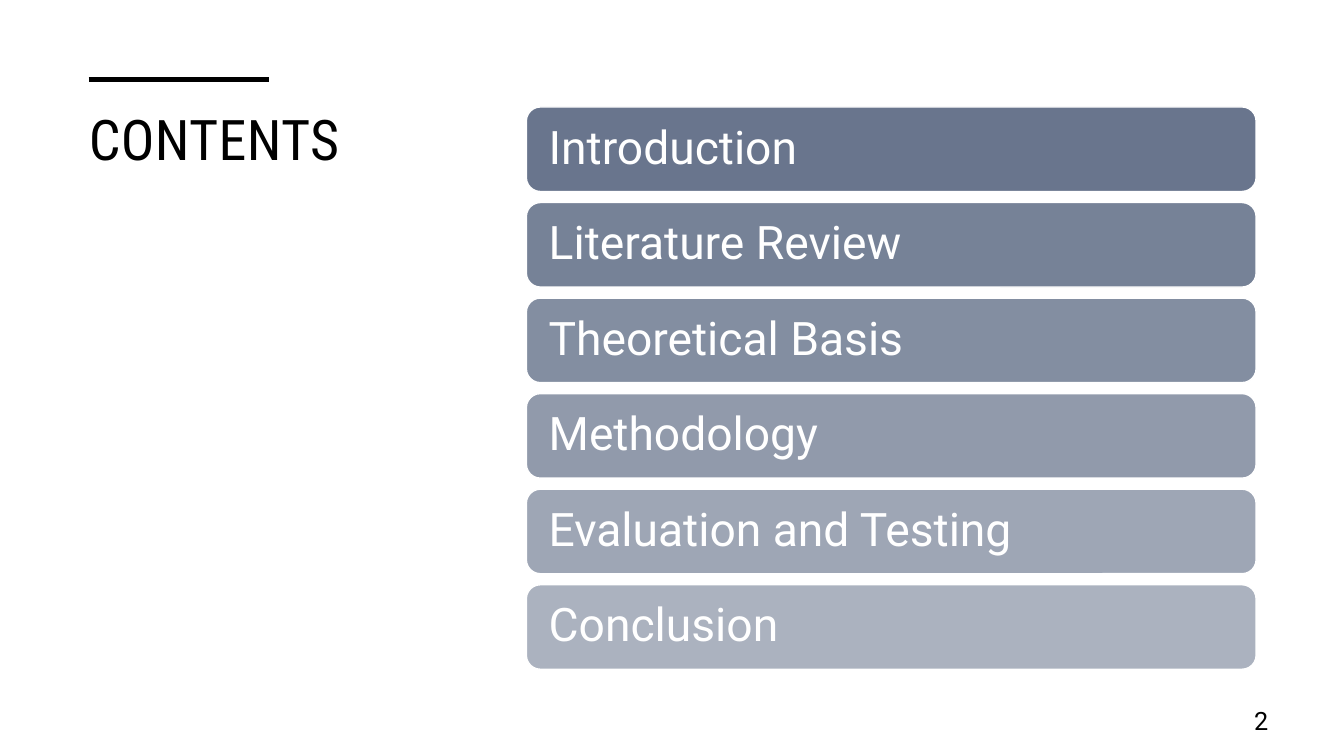
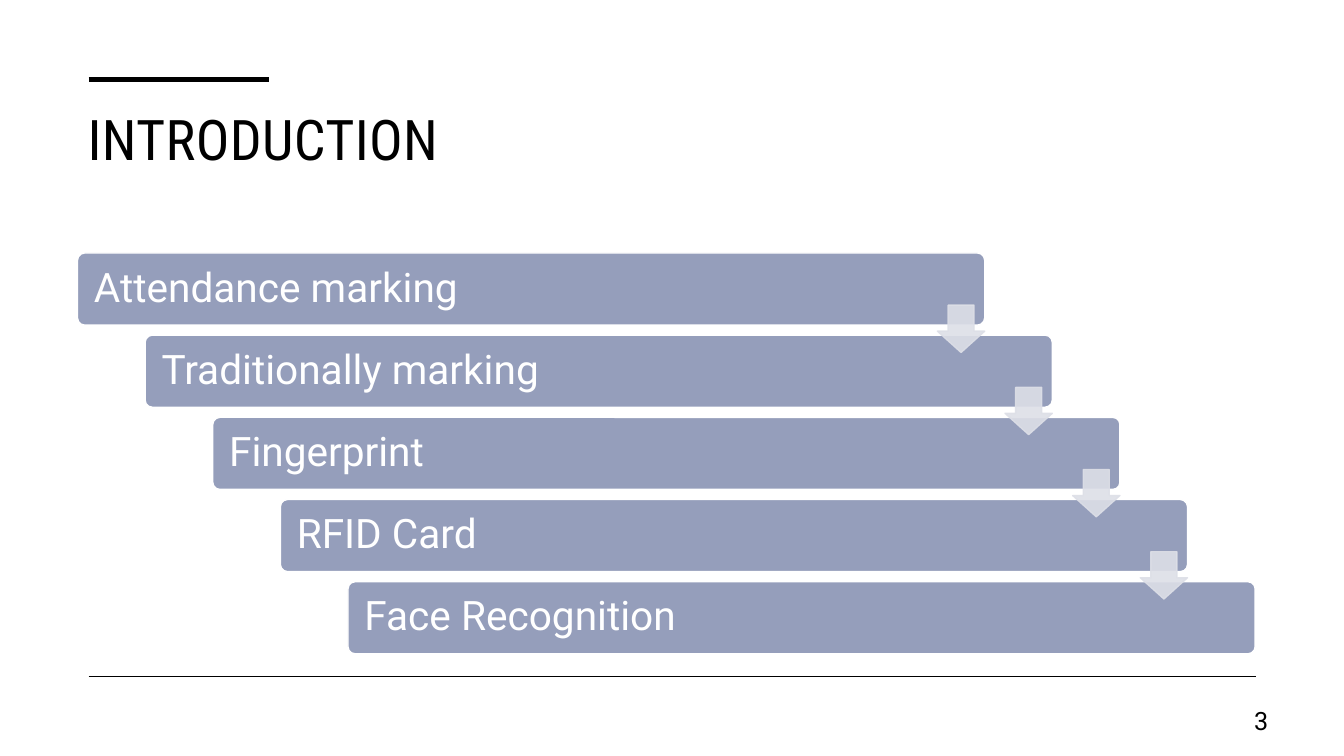
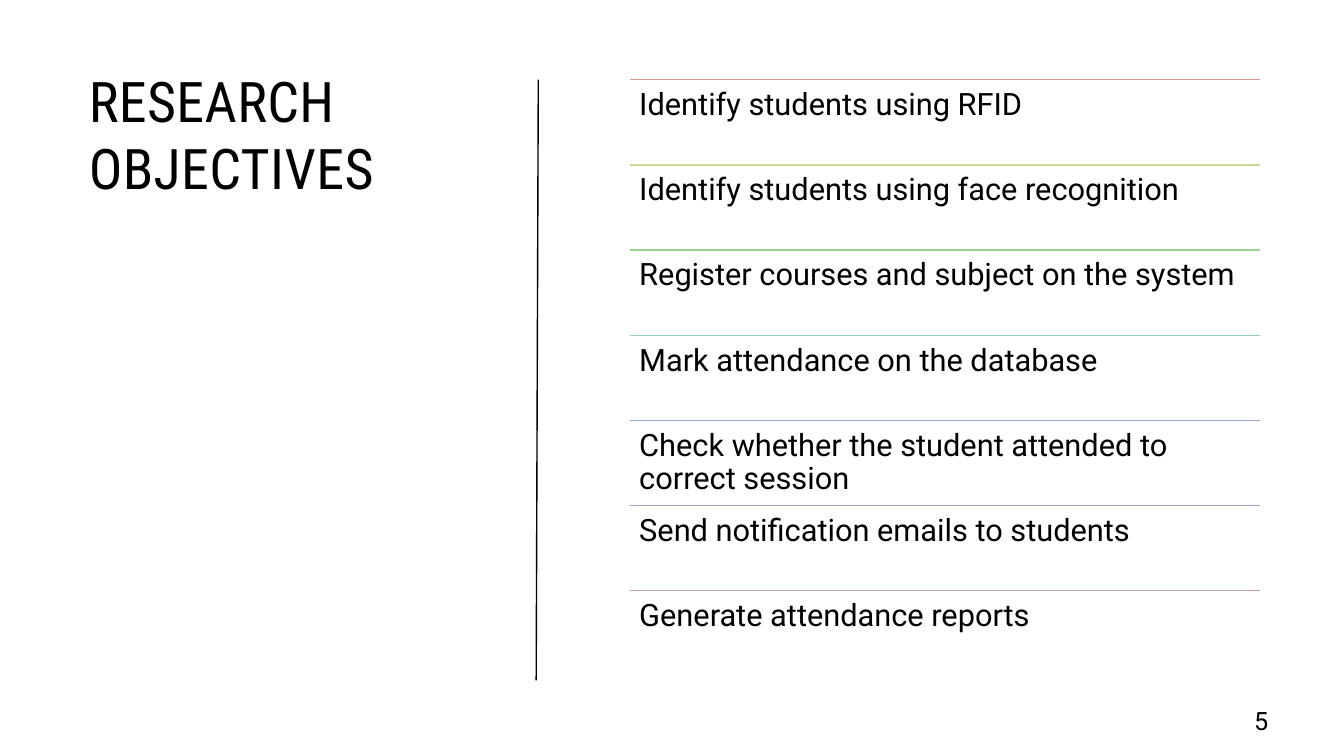
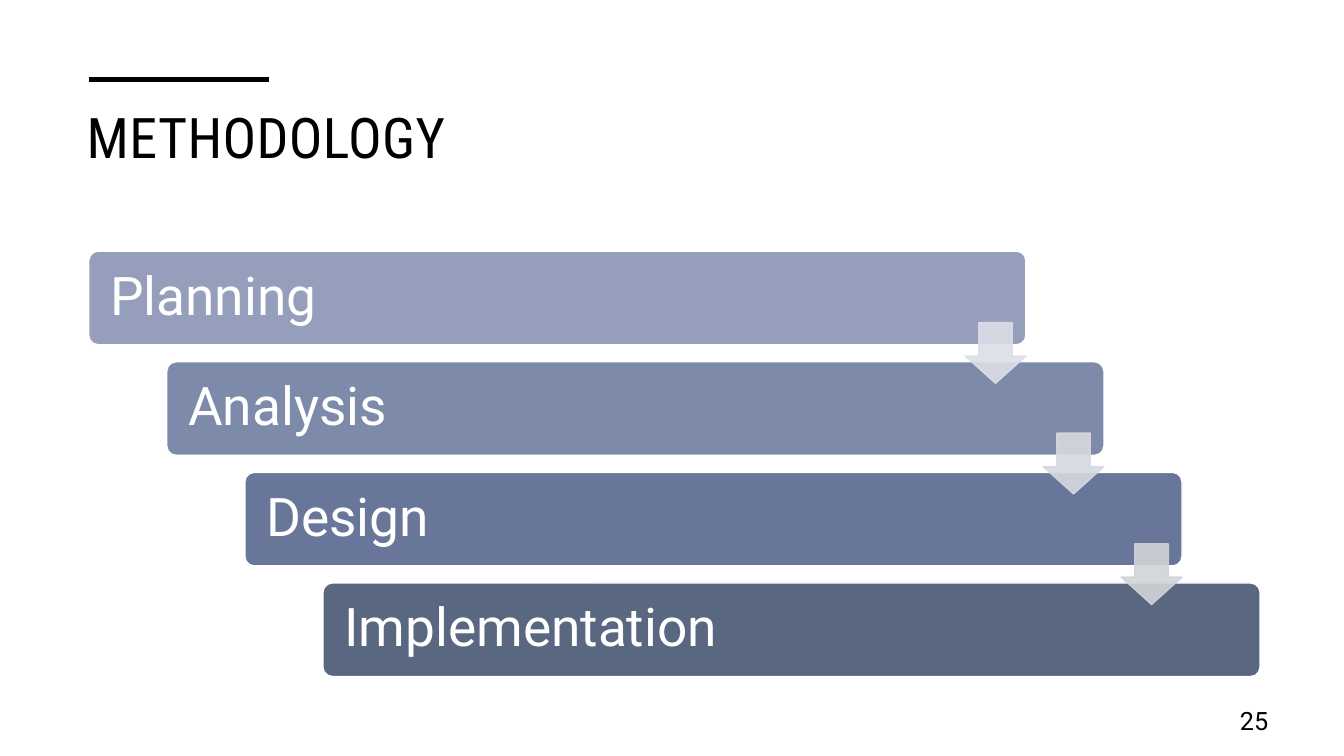
"""Build four slides of a talk on an attendance system."""
from lxml import etree
from pptx import Presentation
from pptx.dml.color import RGBColor
from pptx.enum.shapes import MSO_CONNECTOR, MSO_SHAPE
from pptx.enum.text import MSO_ANCHOR, MSO_AUTO_SIZE, PP_ALIGN
from pptx.oxml.ns import qn
from pptx.util import Pt

STRAIGHT = MSO_CONNECTOR.STRAIGHT
ROUNDED, DOWN_ARROW = MSO_SHAPE.ROUNDED_RECTANGLE, MSO_SHAPE.DOWN_ARROW
TOP, MIDDLE = MSO_ANCHOR.TOP, MSO_ANCHOR.MIDDLE
LEFT, RIGHT = PP_ALIGN.LEFT, PP_ALIGN.RIGHT
NO_FIT = MSO_AUTO_SIZE.NONE

BLACK, WHITE = "000000", "FFFFFF"
SLATE, PERIWINKLE, MIST = "596781", "959EBB", "DDDFE7"
HEADING_FONT, BODY_FONT = "Roboto Condensed", "Roboto"
TITLE_ONLY = 5


def paint(fill, colour, opacity=100):
    """Make a fill solid in a hex colour with an opacity in percent."""
    fill.solid()
    fill.fore_color.rgb = RGBColor.from_string(colour)
    if opacity < 100:
        rgb = fill._xPr.find(".//" + qn("a:srgbClr"))
        etree.SubElement(rgb, qn("a:alpha"), val=str(opacity * 1000))


def write(frame, text, size, colour=BLACK, font=BODY_FONT, align=LEFT,
          anchor=MIDDLE, insets=(7.2, 3.6), leading=1.0, tracking=0):
    """Put one formatted paragraph into a text frame."""
    frame.word_wrap = True
    frame.auto_size = NO_FIT
    frame.vertical_anchor = anchor
    frame.margin_left = frame.margin_right = Pt(insets[0])
    frame.margin_top = frame.margin_bottom = Pt(insets[1])
    paragraph = frame.paragraphs[0]
    paragraph.alignment = align
    paragraph.line_spacing = leading
    run = paragraph.add_run()
    run.text = text
    run.font.name = font
    run.font.size = Pt(size)
    paint(run.font.fill, colour)
    if tracking:
        run.font._element.set("spc", str(round(tracking * 100)))


class Deck:
    """Hold the presentation, its style and the current slide."""

    def __init__(self):
        """Start an empty widescreen presentation."""
        self.presentation = Presentation()
        self.presentation.slide_width = Pt(960)
        self.presentation.slide_height = Pt(540)
        self.slide = None

    def start(self, heading, number, box, accent=True):
        """Add a slide with its heading, page number and accent rule."""
        layout = self.presentation.slide_layouts[TITLE_ONLY]
        self.slide = self.presentation.slides.add_slide(layout)
        title = self.slide.shapes.title
        title.left, title.top, title.width, title.height = map(Pt, box)
        write(title.text_frame, heading, 40, font=HEADING_FONT, anchor=TOP,
              tracking=0.3)
        if accent:
            self.rule(63.4, 56.9, 192.2, 56.9, weight=3.5)
        self.text((859.7, 500.4, 53.3, 28.8), number, size=18, align=RIGHT)

    def text(self, box, content, **style):
        """Add a text box."""
        holder = self.slide.shapes.add_textbox(*map(Pt, box))
        write(holder.text_frame, content, **style)

    def rule(self, x1, y1, x2, y2, colour=BLACK, weight=1):
        """Add a straight line."""
        line = self.slide.shapes.add_connector(
            STRAIGHT, *map(Pt, (x1, y1, x2, y2)))
        line.line.width = Pt(weight)
        paint(line.line.fill, colour)
        etree.SubElement(line._element.spPr, qn("a:effectLst"))

    def shape(self, preset, box, colour, opacity=100, edge=WHITE,
              edge_opacity=100, adjustments=()):
        """Add a filled and outlined preset shape."""
        figure = self.slide.shapes.add_shape(preset, *map(Pt, box))
        figure.shadow.inherit = False
        for index, value in enumerate(adjustments):
            figure.adjustments[index] = value
        paint(figure.fill, colour, opacity)
        figure.line.width = Pt(1)
        paint(figure.line.fill, edge, edge_opacity)
        return figure

    def bar(self, box, label, size, inset, colour, **look):
        """Add a rounded bar with a white label."""
        figure = self.shape(ROUNDED, box, colour, **look)
        write(figure.text_frame, label, size, colour=WHITE,
              insets=(inset, 0), leading=0.9)

    def arrow(self, right, top, side, colour):
        """Add a translucent down arrow that ends at a right edge."""
        self.shape(DOWN_ARROW, (right - side, top, side, side), colour,
                   opacity=90, edge=colour, edge_opacity=90,
                   adjustments=(0.55, 0.45))

    def staircase(self, steps, box, shift, size, inset, arrow_side,
                  arrow_drop, arrow_colours):
        """Add bars stepping down to the right, with arrows between them."""
        left, top, width, height = box
        across, down = shift
        for index, (label, colour) in enumerate(steps):
            place = (left + index * across, top + index * down, width, height)
            self.bar(place, label, size, inset, colour, adjustments=(0.1,))
        for index, colour in enumerate(arrow_colours):
            self.arrow(left + width + index * across,
                       top + arrow_drop + index * down, arrow_side, colour)


def contents(deck):
    """Build the contents slide."""
    deck.start("CONTENTS", "2", (56.2, 71.3, 301, 264.2))
    chapters = ["Introduction", "Literature Review", "Theoretical Basis",
                "Methodology", "Evaluation and Testing", "Conclusion"]
    for index, chapter in enumerate(chapters):
        deck.bar((376, 76.4 + index * 68.25, 521.3, 60.4), chapter, 33, 13,
                 SLATE, opacity=90 - 8 * index)


def introduction(deck):
    """Build the introduction slide."""
    deck.start("INTRODUCTION", "3", (55.4, 71.3, 841.7, 90.7))
    deck.rule(63.4, 483.1, 897.1, 483.1)
    methods = ["Attendance marking", "Traditionally marking", "Fingerprint",
               "RFID Card", "Face Recognition"]
    deck.staircase([(method, PERIWINKLE) for method in methods],
                   (55.4, 180.7, 648, 51.5), (48.3, 58.7), 29, 10.2,
                   33.8, 37.3, [MIST] * 4)


def objectives(deck):
    """Build the research objectives slide."""
    deck.start("RESEARCH OBJECTIVES", "5", (56.2, 43.9, 285.1, 359.3),
               accent=False)
    deck.rule(383, 486, 384.5, 56.9)
    goals = [("Identify students using RFID", "DB9A8F"),
             ("Identify students using face recognition", "D5D791"),
             ("Register courses and subject on the system", "98D392"),
             ("Mark attendance on the database", "94CFC2"),
             ("Check whether the student attended to correct session",
              "96A8CB"),
             ("Send notification emails to students", "B198C6"),
             ("Generate attendance reports", "C29AB1")]
    for index, (goal, colour) in enumerate(goals):
        top = 56.9 + index * 60.85
        deck.rule(450, top, 900, top, colour)
        deck.text((450, top, 450, 60.85), goal, size=22, anchor=TOP,
                  insets=(6.6, 6.6), leading=0.9)


def methodology(deck):
    """Build the methodology slide."""
    deck.start("METHODOLOGY", "25", (54.7, 69.8, 850.3, 82.8))
    phases = [("Planning", PERIWINKLE), ("Analysis", "7E8AAA"),
              ("Design", "687799"), ("Implementation", SLATE)]
    deck.staircase(phases, (63.4, 179.4, 669.4, 66.8), (55.75, 79), 38, 13.3,
                   43.4, 51, [MIST, "D7D9E0", "D1D3D8"])


def main():
    """Build and save the presentation."""
    deck = Deck()
    for build in (contents, introduction, objectives, methodology):
        build(deck)
    deck.presentation.save("out.pptx")


if __name__ == "__main__":
    main()
